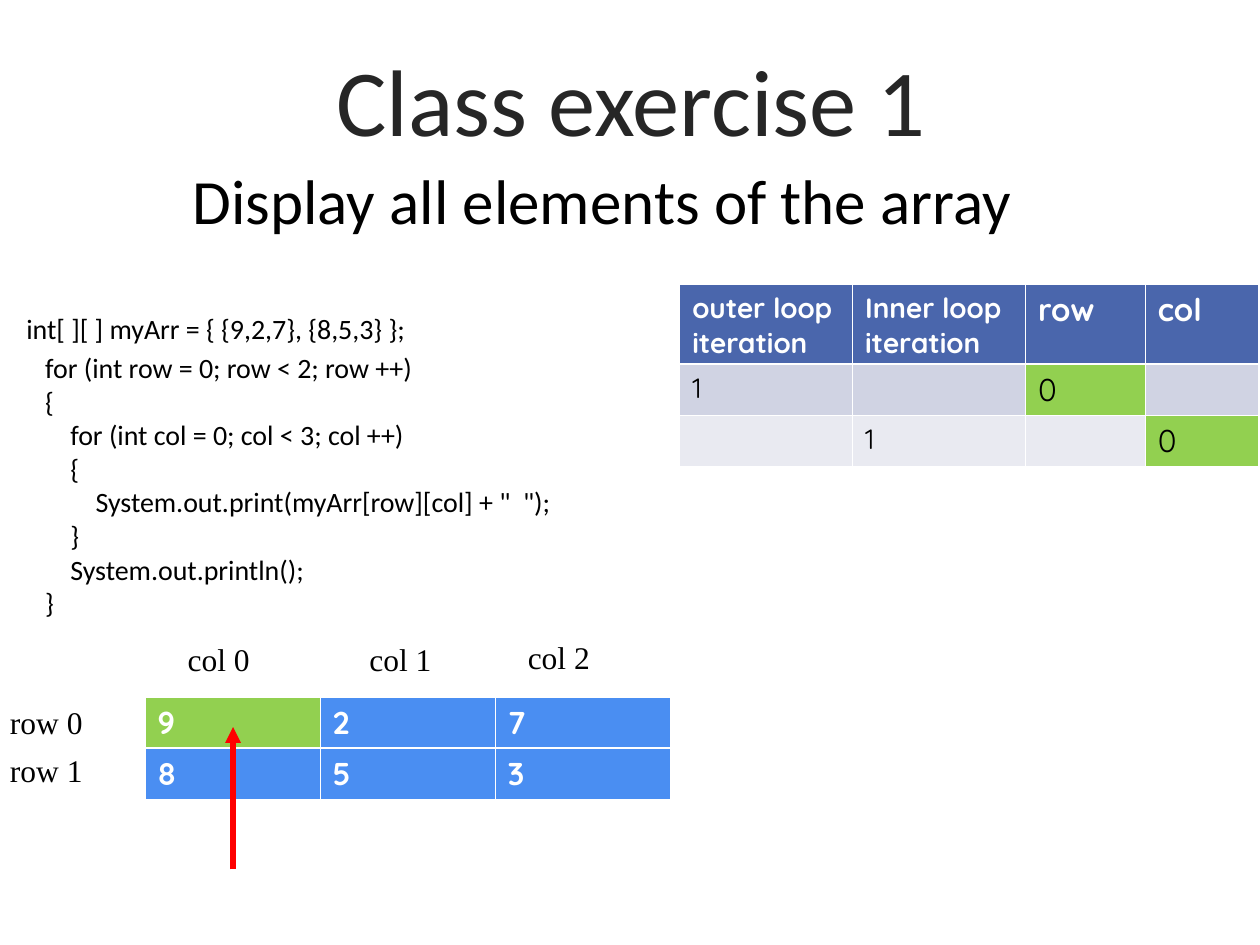
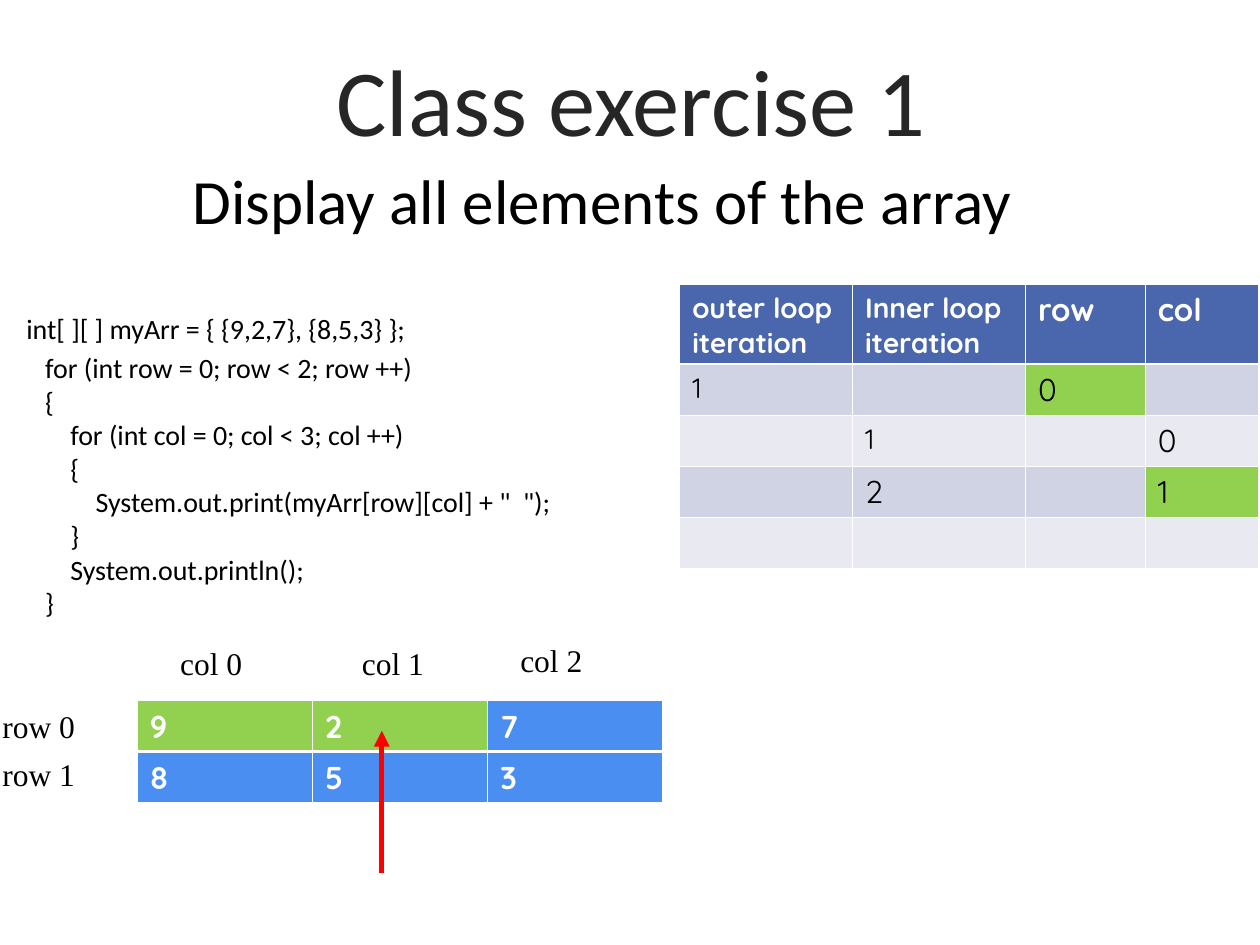
from lxml import etree
from pptx import Presentation
from pptx import util as u
from pptx.dml.color import RGBColor
from pptx.enum import shapes, text
from pptx.oxml.ns import qn

Pt = u.Pt
COLORS = {
    "title": "262626", "ink": "000000", "white": "FFFFFF", "arrow": "FF0000",
    "active": "92D050", "array": "4A8EF2", "header": "4A66AC",
    "odd": "D0D3E3", "even": "E9EAF1",
}
TITLE = "Class exercise 1"
TASK = "Display all elements of the array"
CODE = [
    " int[ ][ ] myArr = { {9,2,7}, {8,5,3} };",
    "     for (int row = 0; row < 2; row ++)",
    "     {",
    "         for (int col = 0; col < 3; col ++)",
    "         {",
    '             System.out.print(myArr[row][col] + "  ");',
    "         }",
    "         System.out.println();",
    "     }",
]
ARRAY = [["9", "2", "7"], ["8", "5", "3"]]
ARRAY_LABELS = [
    ("row 0", -84.2, 0), ("row 1", -84.2, 27.4),
    ("col 0", 17.3, -36), ("col 1", 121.2, -36), ("col 2", 211.7, -37.4),
]
TRACE_HEADER = ["outer loop iteration", "Inner loop iteration", "row", "col"]
TRACE_WIDTHS = [98.8, 98.8, 68.4, 64.6]
STEPS = [
    {
        "array_at": (82.8, 398.2), "visited": [(0, 0)], "arrow_x": 133.2,
        "trace": [["1", "", "0", ""], ["", "1", "", "0"]],
        "current": [(1, 2), (2, 3)],
    },
    {
        "array_at": (78.5, 400.3), "visited": [(0, 0), (0, 1)], "arrow_x": 218.2,
        "trace": [["1", "", "0", ""], ["", "1", "", "0"],
                  ["", "2", "", "1"], ["", "", "", ""]],
        "current": [(1, 2), (3, 3)],
    },
]


def rgb(name):
    return RGBColor.from_string(COLORS[name])


def style(span, size, font, color, bold=False):
    span.font.size = Pt(size)
    span.font.name = font
    span.font.color.rgb = rgb(color)
    span.font.bold = bold


def add_text(page, lines, at, size, font="Calibri", color="ink", align=None):
    box = page.shapes.add_textbox(*map(Pt, at))
    frame = box.text_frame
    frame.word_wrap = True
    frame.text = "\n".join(lines)
    for para in frame.paragraphs:
        para.alignment = align
        for span in para.runs:
            style(span, size, font, color)
    return frame


def add_code(page):
    frame = add_text(page, CODE, (0.7, 158.4, 375.8, 199.4), 16)
    para = frame.paragraphs[0]
    indent = para.runs[0]
    statement = para.add_run()
    statement.text = indent.text.lstrip()
    indent.text = " "
    style(statement, 16, "Calibri", "ink")
    indent.font.size = Pt(32)


def set_borders(cell, row):
    props = cell._tc.get_or_add_tcPr()
    heavy_side = {0: "lnB", 1: "lnT"}.get(row)
    for side in ("lnL", "lnR", "lnT", "lnB"):
        width = Pt(1.47 if side == heavy_side else 0.45)
        line = etree.SubElement(props, qn(f"a:{side}"), w=str(int(width)))
        fill = etree.SubElement(line, qn("a:solidFill"))
        etree.SubElement(fill, qn("a:srgbClr"), val=COLORS["white"])


def add_grid(page, rows, at, widths, heights, cell_style):
    size = (sum(widths), sum(heights))
    frame = page.shapes.add_table(len(rows), len(widths), *map(Pt, at + size))
    table = frame.table
    table.first_row = table.horz_banding = False
    for column, width in zip(table.columns, widths):
        column.width = Pt(width)
    for r, values in enumerate(rows):
        table.rows[r].height = Pt(heights[r])
        for c, value in enumerate(values):
            cell = table.cell(r, c)
            fill, size, color, bold = cell_style(r, c, value)
            set_borders(cell, r)
            cell.fill.solid()
            cell.fill.fore_color.rgb = rgb(fill)
            cell.text_frame.text = value
            for span in cell.text_frame.paragraphs[0].runs:
                style(span, size, "Quicksand", color, bold)


def add_array(page, step):
    left, top = step["array_at"]

    def array_style(r, c, value):
        fill = "active" if (r, c) in step["visited"] else "array"
        return fill, 18, "white", True

    add_grid(page, ARRAY, (left, top), [100.1] * 3, [29.2] * 2, array_style)
    for label, dx, dy in ARRAY_LABELS:
        add_text(page, [label], (left + dx, top + dy, 66.2, 28.8), 18, "Times New Roman")


def add_trace(page, step):
    def trace_style(r, c, value):
        if r == 0:
            return "header", 16 if c < 2 else 18, "white", True
        fill = "odd" if r % 2 else "even"
        if (r, c) in step["current"]:
            fill = "active"
        return fill, 16 if c < 2 and value == "1" else 18, "ink", False

    rows = [TRACE_HEADER] + step["trace"]
    heights = [45.4] + [29.2] * len(step["trace"])
    add_grid(page, rows, (388.4, 162.3), TRACE_WIDTHS, heights, trace_style)


def add_arrow(page, step):
    x, top = step["arrow_x"], step["array_at"][1]
    arrow = page.shapes.add_connector(
        shapes.MSO_CONNECTOR.STRAIGHT, Pt(x), Pt(top + 98.6), Pt(x), Pt(top + 17.3))
    arrow.line.color.rgb = rgb("arrow")
    arrow.line.width = Pt(3)
    etree.SubElement(arrow.line._get_or_add_ln(), qn("a:tailEnd"), type="triangle")
    etree.SubElement(arrow._element.spPr, qn("a:effectLst"))


def main():
    deck = Presentation()
    deck.slide_width, deck.slide_height = Pt(720), Pt(540)
    for step in STEPS:
        page = deck.slides.add_slide(deck.slide_layouts[6])
        add_text(page, [TITLE], (36.7, 20.2, 648, 68.4), 54,
                 color="title", align=text.PP_ALIGN.CENTER)
        add_code(page)
        add_text(page, [TASK], (103, 88.6, 516.2, 93.6), 36)
        add_array(page, step)
        add_trace(page, step)
        add_arrow(page, step)
    deck.save("out.pptx")


if __name__ == "__main__":
    main()
